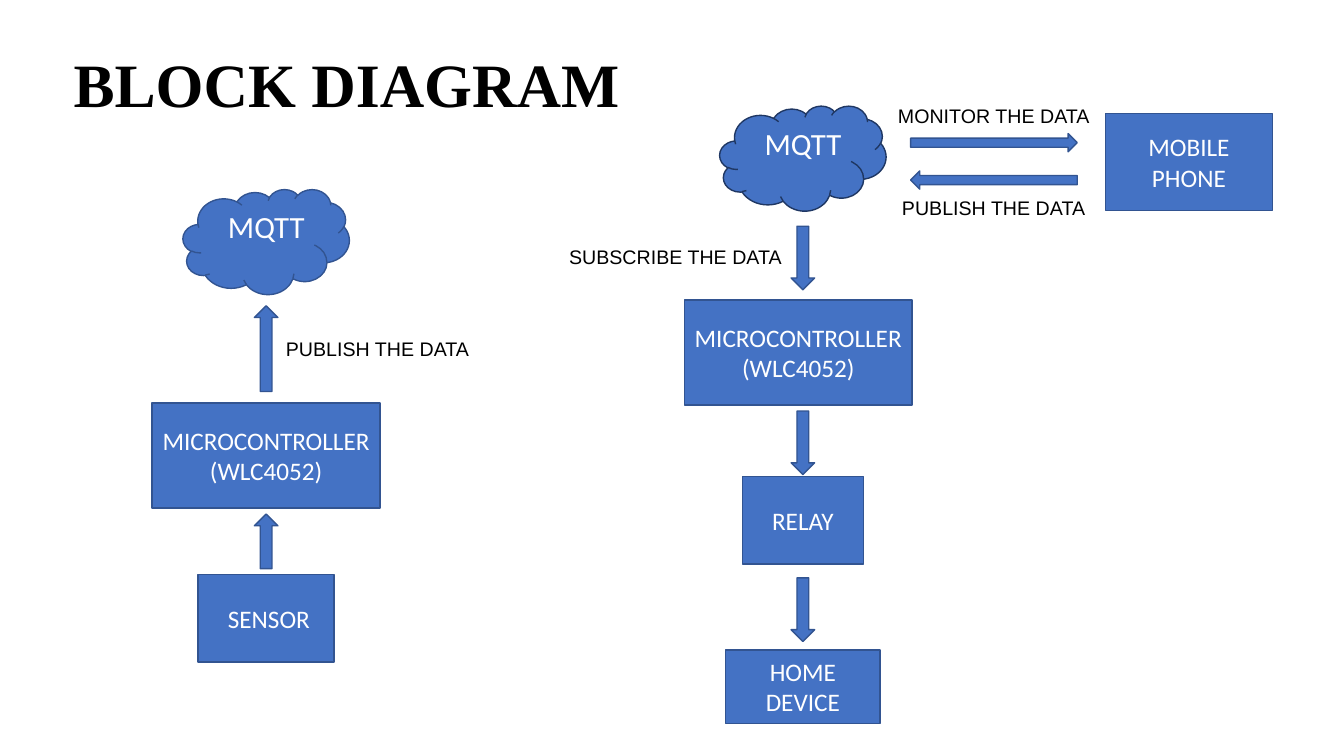
from pptx import Presentation
from pptx.dml.color import RGBColor
from pptx.enum.shapes import MSO_SHAPE
from pptx.enum.text import MSO_ANCHOR, MSO_AUTO_SIZE, PP_ALIGN
from pptx.util import Pt

COLORS = {"block": "4472C4", "edge": "325491", "dark_edge": "1F3763",
          "light": "FFFFFF", "ink": "000000"}
FORMATS = {
    "title": {"name": "Times New Roman", "size": Pt(44), "bold": True},
    "cloud": {"name": "Calibri", "size": Pt(22)},
    "block": {"name": "Calibri", "size": Pt(18)},
    "label": {"name": "Arial", "size": Pt(14)},
}
LABEL_FRAME = {"word_wrap": False, "vertical_anchor": MSO_ANCHOR.TOP,
               "auto_size": MSO_AUTO_SIZE.NONE}
BLOCK_FRAME = {"word_wrap": True, "vertical_anchor": MSO_ANCHOR.MIDDLE}
CLOUD_FRAME = {"word_wrap": True, "vertical_anchor": MSO_ANCHOR.TOP,
               "margin_top": Pt(2), "margin_left": Pt(15.8)}

PUBLISH_X, CONTROL_X, CONTROLLER_X, PHONE_X = 190.1, 573.5, 570.2, 849.3
CLOUD_SIZE, CONTROLLER_SIZE = (118.8, 75), (162.8, 75)
CONTROLLER = "MICROCONTROLLER(WLC4052)"
ARROW_WIDTH, EXCHANGE_SIZE = 16.8, (119, 13)
EXCHANGE_X = 710

BLOCKS = [
    (" SENSOR", PUBLISH_X, 410.2, 97, 62.8),
    (CONTROLLER, PUBLISH_X, 288, *CONTROLLER_SIZE),
    (CONTROLLER, CONTROLLER_X, 214.4, *CONTROLLER_SIZE),
    ("MOBILE PHONE", PHONE_X, 81.2, 119, 69),
    ("RELAY", CONTROL_X, 340.2, 86.4, 62.8),
    ("HOME DEVICE", CONTROL_X, 464.2, 110.5, 52.5),
]
CLOUDS = [(PUBLISH_X, 135.2, "edge"), (CONTROL_X, 75.6, "dark_edge")]
ARROWS = [
    (MSO_SHAPE.UP_ARROW, PUBLISH_X, 218.4, ARROW_WIDTH, 61.2),
    (MSO_SHAPE.UP_ARROW, PUBLISH_X, 367.2, ARROW_WIDTH, 39),
    (MSO_SHAPE.DOWN_ARROW, CONTROL_X, 161.6, ARROW_WIDTH, 45.4),
    (MSO_SHAPE.DOWN_ARROW, CONTROL_X, 293.6, ARROW_WIDTH, 45.4),
    (MSO_SHAPE.DOWN_ARROW, CONTROL_X, 412.8, ARROW_WIDTH, 45.4),
    (MSO_SHAPE.RIGHT_ARROW, EXCHANGE_X, 95.4, *EXCHANGE_SIZE),
    (MSO_SHAPE.LEFT_ARROW, EXCHANGE_X, 122.1, *EXCHANGE_SIZE),
]
LABELS = [
    ("MONITOR THE DATA", 634.3, 70.6, 152.6),
    ("PUBLISH THE DATA", 637.2, 136.3, 147),
    ("SUBSCRIBE THE DATA", 399.4, 171.4, 167.8),
    ("PUBLISH THE DATA", 197.1, 237, 147),
]


def set_all(target, values):
    for attribute, value in values.items():
        setattr(target, attribute, value)


def write(frame, text, style, color, align, frame_values):
    set_all(frame, frame_values)
    paragraph = frame.paragraphs[0]
    paragraph.alignment = align
    wording = paragraph.add_run()
    wording.text = text
    set_all(wording.font, FORMATS[style])
    wording.font.color.rgb = RGBColor.from_string(COLORS[color])


def add_figure(slide, kind, center, top, width, height, edge="edge"):
    figure = slide.shapes.add_shape(
        kind, Pt(center - width / 2), Pt(top), Pt(width), Pt(height))
    figure.shadow.inherit = False
    figure.fill.solid()
    figure.fill.fore_color.rgb = RGBColor.from_string(COLORS["block"])
    figure.line.color.rgb = RGBColor.from_string(COLORS[edge])
    figure.line.width = Pt(1)
    return figure


def add_block(slide, text, center, top, width, height):
    block = add_figure(slide, MSO_SHAPE.RECTANGLE, center, top, width, height)
    write(block.text_frame, text, "block", "light", PP_ALIGN.CENTER, BLOCK_FRAME)


def add_cloud(slide, center, top, edge):
    cloud = add_figure(slide, MSO_SHAPE.CLOUD, center, top, *CLOUD_SIZE, edge)
    write(cloud.text_frame, "MQTT", "cloud", "light", PP_ALIGN.CENTER, CLOUD_FRAME)


def add_label(slide, text, left, top, width):
    label = slide.shapes.add_textbox(Pt(left), Pt(top), Pt(width), Pt(24.2))
    write(label.text_frame, text, "label", "ink", PP_ALIGN.LEFT, LABEL_FRAME)


def place_title(slide, text):
    heading = slide.shapes.title
    set_all(heading, {"left": Pt(45.4), "top": Pt(29.5),
                      "width": Pt(408.2), "height": Pt(60.5)})
    write(heading.text_frame, text, "title", "ink", PP_ALIGN.LEFT, LABEL_FRAME)


def main():
    """Build the block diagram slide and save it."""
    deck = Presentation()
    set_all(deck, {"slide_width": Pt(960), "slide_height": Pt(540)})
    slide = deck.slides.add_slide(deck.slide_layouts.get_by_name("Title Only"))
    place_title(slide, "BLOCK DIAGRAM")
    for block in BLOCKS:
        add_block(slide, *block)
    for cloud in CLOUDS:
        add_cloud(slide, *cloud)
    for arrow in ARROWS:
        add_figure(slide, *arrow)
    for label in LABELS:
        add_label(slide, *label)
    deck.save("out.pptx")


if __name__ == "__main__":
    main()
